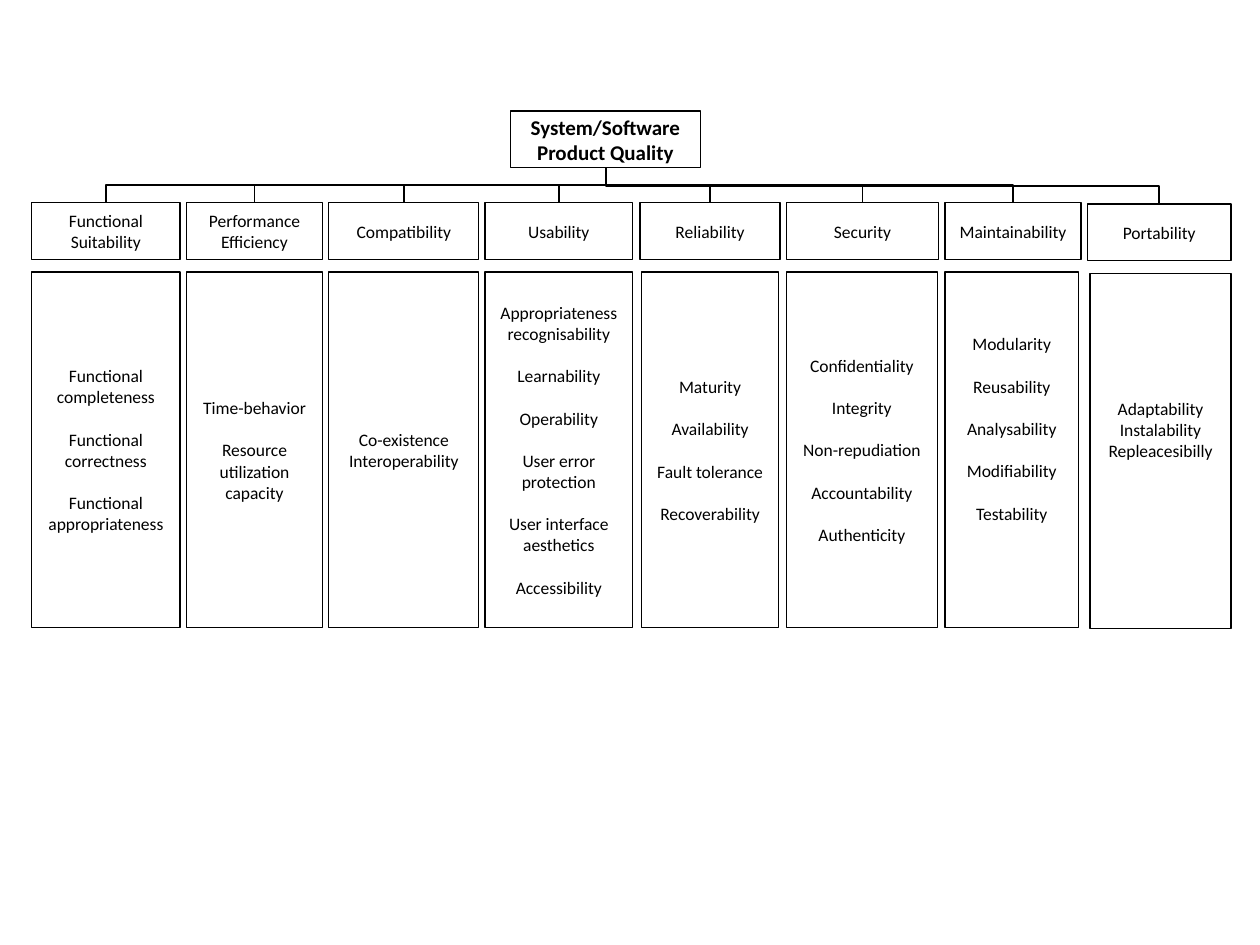
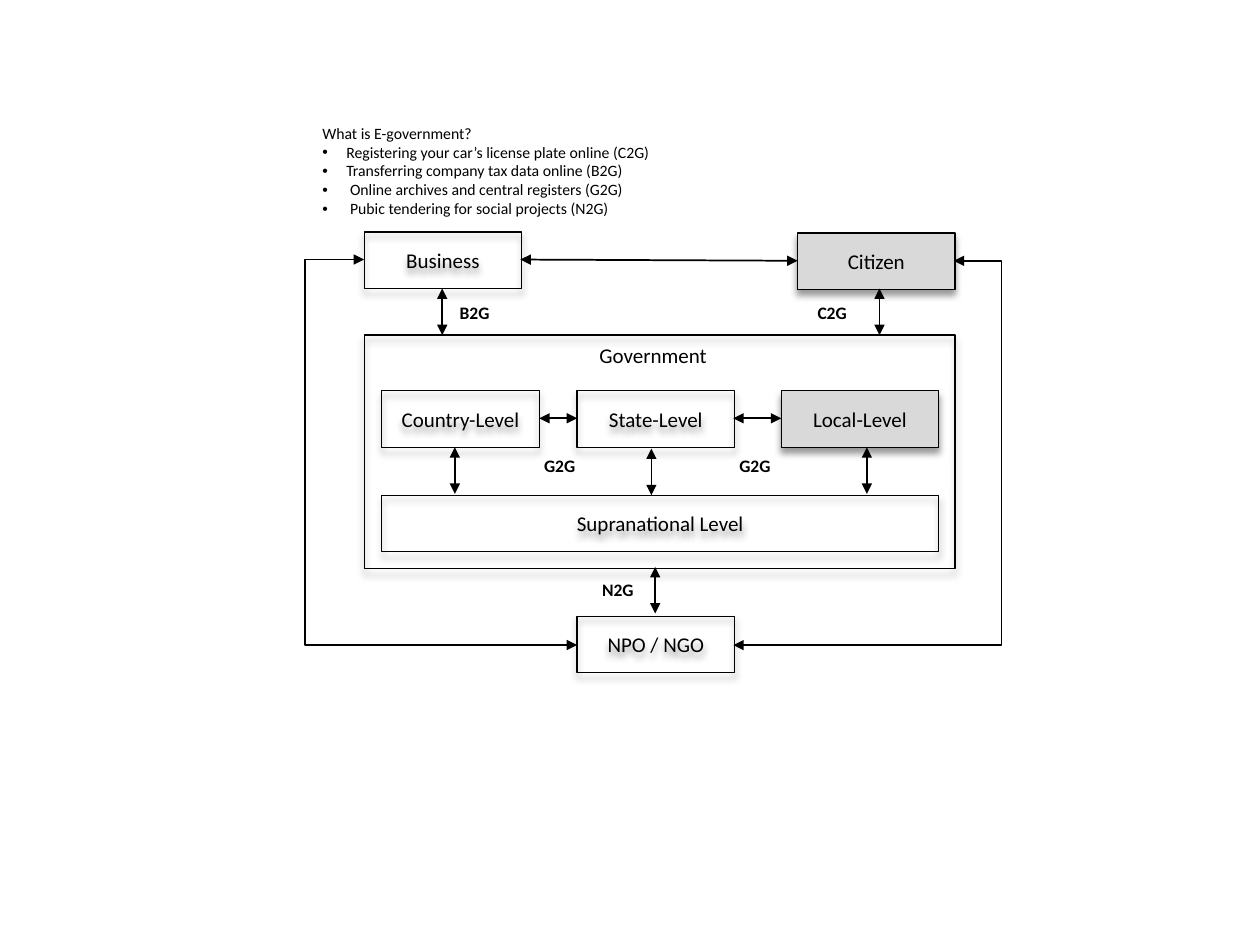
from dataclasses import dataclass

from pptx import Presentation
from pptx.dml.color import RGBColor
from pptx.enum.shapes import MSO_CONNECTOR as CONN, MSO_SHAPE as SHAPE
from pptx.enum.text import MSO_ANCHOR as ANCHOR, PP_ALIGN as ALIGN
from pptx.oxml import parse_xml
from pptx.oxml.ns import nsdecls
from pptx.util import Inches, Pt


@dataclass(frozen=True)
class Theme:
    font: str = "Calibri"
    ink: RGBColor = RGBColor(0, 0, 0)
    grey: RGBColor = RGBColor(0xD9, 0xD9, 0xD9)
    large: Pt = Pt(12)
    small: Pt = Pt(10)
    note: Pt = Pt(9)
    blank_line: Pt = Pt(12.2)
    box_line: Pt = Pt(0.75)
    arrow_line: Pt = Pt(1)


THEME = Theme()
BOX_H = 0.45

# Heading, heading left and width, list left and width, groups of lines
QUALITIES = [
    ("Functional Suitability", 0.25, 1.18, 0.25, 1.18,
     ["Functional completeness", "Functional correctness", "Functional appropriateness"]),
    ("Performance Efficiency", 1.48, 1.08, 1.48, 1.08,
     ["Time-behavior", "Resource utilization capacity"]),
    ("Compatibility", 2.61, 1.19, 2.61, 1.19, ["Co-existence\nInteroperability"]),
    ("Usability", 3.85, 1.17, 3.85, 1.17,
     ["Appropriateness\nrecognisability", "Learnability", "Operability",
      "User error protection", "User interface aesthetics", "Accessibility"]),
    ("Reliability", 5.08, 1.11, 5.09, 1.09,
     ["Maturity", "Availability", "Fault tolerance", "Recoverability"]),
    ("Security", 6.24, 1.21, 6.24, 1.2,
     ["Confidentiality", "Integrity", "Non-repudiation", "Accountability", "Authenticity"]),
    ("Maintainability", 7.5, 1.08, 7.5, 1.06,
     ["Modularity", "Reusability", "Analysability", "Modifiability", "Testability"]),
    ("Portability", 8.63, 1.14, 8.65, 1.12,
     ["Adaptability\nInstalability\nRepleacesibilly"]),
]
RAISED = {"Maintainability", "Portability"}

ACTORS = [
    ("Business", 2.89, 1.84, 1.25, False),
    ("Citizen", 6.33, 1.85, 1.25, True),
    ("Country-Level", 3.03, 3.1, 1.25, False),
    ("State-Level", 4.58, 3.1, 1.25, False),
    ("Local-Level", 6.2, 3.1, 1.25, True),
    ("Supranational Level", 3.03, 3.93, 4.42, False),
    ("NPO / NGO", 4.58, 4.89, 1.25, False),
]
VERTICAL_ARROWS = [(3.51, 2.29), (6.98, 2.29), (5.2, 4.5),
                   (3.61, 3.55), (5.17, 3.56), (6.88, 3.55)]
LEVEL_ARROWS = [(4.58, 4.28), (6.2, 5.82)]
LABELS = [("B2G", 3.55, 2.35), ("C2G", 6.39, 2.35), ("G2G", 4.22, 3.56),
          ("G2G", 5.77, 3.56), ("N2G", 4.68, 4.55)]
EXAMPLES = [
    ("Registering your car’s license plate online (C2G)", 0.19),
    ("Transferring company tax data online (B2G)", 0.19),
    ("Online archives and central registers (G2G)", 0.22),
    ("Pubic tendering for social projects (N2G)", 0.22),
]


def set_all(target, values):
    for name, value in values.items():
        setattr(target, name, value)


def write(p, text, size, bold=False):
    r = p.add_run()
    r.text = text
    set_all(r.font, {"name": THEME.font, "size": size, "bold": bold})
    r.font.color.rgb = THEME.ink


def next_paragraph(tf):
    return tf.add_paragraph() if tf.paragraphs[0].runs else tf.paragraphs[0]


def add_box(s, left, top, width, height, groups=(), size=THEME.small, bold=False, fill=None):
    sp = s.shapes.add_shape(SHAPE.RECTANGLE, *map(Inches, (left, top, width, height)))
    sp.shadow.inherit = False
    if fill is None:
        sp.fill.background()
    else:
        sp.fill.solid()
        sp.fill.fore_color.rgb = fill
    sp.line.color.rgb = THEME.ink
    sp.line.width = THEME.box_line
    tf = sp.text_frame
    set_all(tf, {"word_wrap": True, "vertical_anchor": ANCHOR.MIDDLE})
    for i, group in enumerate(groups):
        for j, text in enumerate(group.split("\n")):
            p = next_paragraph(tf)
            p.alignment = ALIGN.CENTER
            if i and j == 0:
                p.space_before = THEME.blank_line
            write(p, text, size, bold)
    return sp


def add_shadow(sp):
    effects = sp._element.spPr.find("{*}effectLst")
    effects.append(parse_xml(
        f'<a:outerShdw {nsdecls("a")} blurRad="50800" dist="38100" dir="5400000" '
        'rotWithShape="0"><a:srgbClr val="000000"><a:alpha val="40000"/></a:srgbClr>'
        '</a:outerShdw>'))


def add_line(s, start, end, kind=CONN.STRAIGHT, arrows=False):
    c = s.shapes.add_connector(kind, *map(Inches, (*start, *end)))
    c.line.color.rgb = THEME.ink
    c.line.width = THEME.arrow_line
    if arrows:
        ln = c.line._get_or_add_ln()
        for tag in ("headEnd", "tailEnd"):
            ln.append(parse_xml(f'<a:{tag} {nsdecls("a")} type="triangle"/>'))
    c._element.spPr.append(parse_xml(f'<a:effectLst {nsdecls("a")}/>'))
    return c


def add_branch(s, child, parent):
    (x1, y1), (x2, y2) = child, parent
    sign = 1 if x2 > x1 else -1
    cx, cy = (x1 + x2) / 2, (y1 + y2) / 2
    half_w, half_h = sign * (y2 - y1) / 2, -sign * (x2 - x1) / 2
    c = add_line(s, (cx - half_w, cy - half_h), (cx + half_w, cy + half_h), CONN.ELBOW)
    c._element.spPr.xfrm.set("rot", str((90 if sign > 0 else 270) * 60000))


def add_side_arrow(s, start, end, bend_x):
    c = add_line(s, start, end, CONN.ELBOW, arrows=True)
    bend = round((bend_x - start[0]) / (end[0] - start[0]) * 100000)
    c._element.spPr.prstGeom.get_or_add_avLst().append(
        parse_xml(f'<a:gd {nsdecls("a")} name="adj1" fmla="val {bend}"/>'))


def add_text(s, left, top, width, height, text, size, bold=False, wrap=False):
    tf = s.shapes.add_textbox(*map(Inches, (left, top, width, height))).text_frame
    tf.word_wrap = wrap
    write(tf.paragraphs[0], text, size, bold)
    return tf


def add_bullet(tf, text, indent):
    p = tf.add_paragraph()
    pPr = p._p.get_or_add_pPr()
    pPr.set("marL", str(Inches(indent)))
    pPr.set("indent", str(-Inches(indent)))
    pPr.append(parse_xml(f'<a:buFont {nsdecls("a")} typeface="Arial"/>'))
    pPr.append(parse_xml(f'<a:buChar {nsdecls("a")} char="•"/>'))
    write(p, text, THEME.note)


def build_quality_tree(s):
    add_box(s, 4.05, 0.88, 1.51, BOX_H, ["System/Software Product Quality"], THEME.large, True)
    for title, left, width, list_left, list_width, groups in QUALITIES:
        top = 1.62 if title == "Portability" else 1.61
        add_branch(s, (left + width / 2, top), (4.81, 1.33))
        add_box(s, left, top, width, BOX_H, [title])
        sp = add_box(s, list_left, top + 0.55, list_width, 2.82, groups)
        if title in RAISED:
            sp.text_frame.margin_bottom = Inches(0.05) + 2 * THEME.blank_line


def build_government_map(s):
    add_shadow(add_box(s, 2.89, 2.66, 4.69, 1.85))
    for name, left, top, width, shaded in ACTORS:
        add_shadow(add_box(s, left, top, width, BOX_H, [name], THEME.large,
                           fill=THEME.grey if shaded else None))
    add_line(s, (4.13, 2.06), (6.33, 2.07), arrows=True)
    for x, y in VERTICAL_ARROWS:
        add_line(s, (x, y), (x, y + 0.37), arrows=True)
    for x1, x2 in LEVEL_ARROWS:
        add_line(s, (x1, 3.32), (x2, 3.32), arrows=True)
    add_side_arrow(s, (2.89, 2.06), (4.58, 5.12), 2.42)
    add_side_arrow(s, (7.57, 2.07), (5.82, 5.12), 7.95)
    add_text(s, 4.66, 2.67, 1.07, 0.3, "Government", THEME.large)
    for text, left, top in LABELS:
        add_text(s, left, top, 0.45, 0.27, text, THEME.small, bold=True)
    tf = add_text(s, 2.46, 0.93, 3.3, 0.86, "What is E-government?", THEME.note, wrap=True)
    for text, indent in EXAMPLES:
        add_bullet(tf, text, indent)


def main():
    prs = Presentation()
    set_all(prs, {"slide_width": Inches(10), "slide_height": Inches(7.5)})
    for build in (build_quality_tree, build_government_map):
        build(prs.slides.add_slide(prs.slide_layouts[6]))
    prs.save("out.pptx")


if __name__ == "__main__":
    main()
